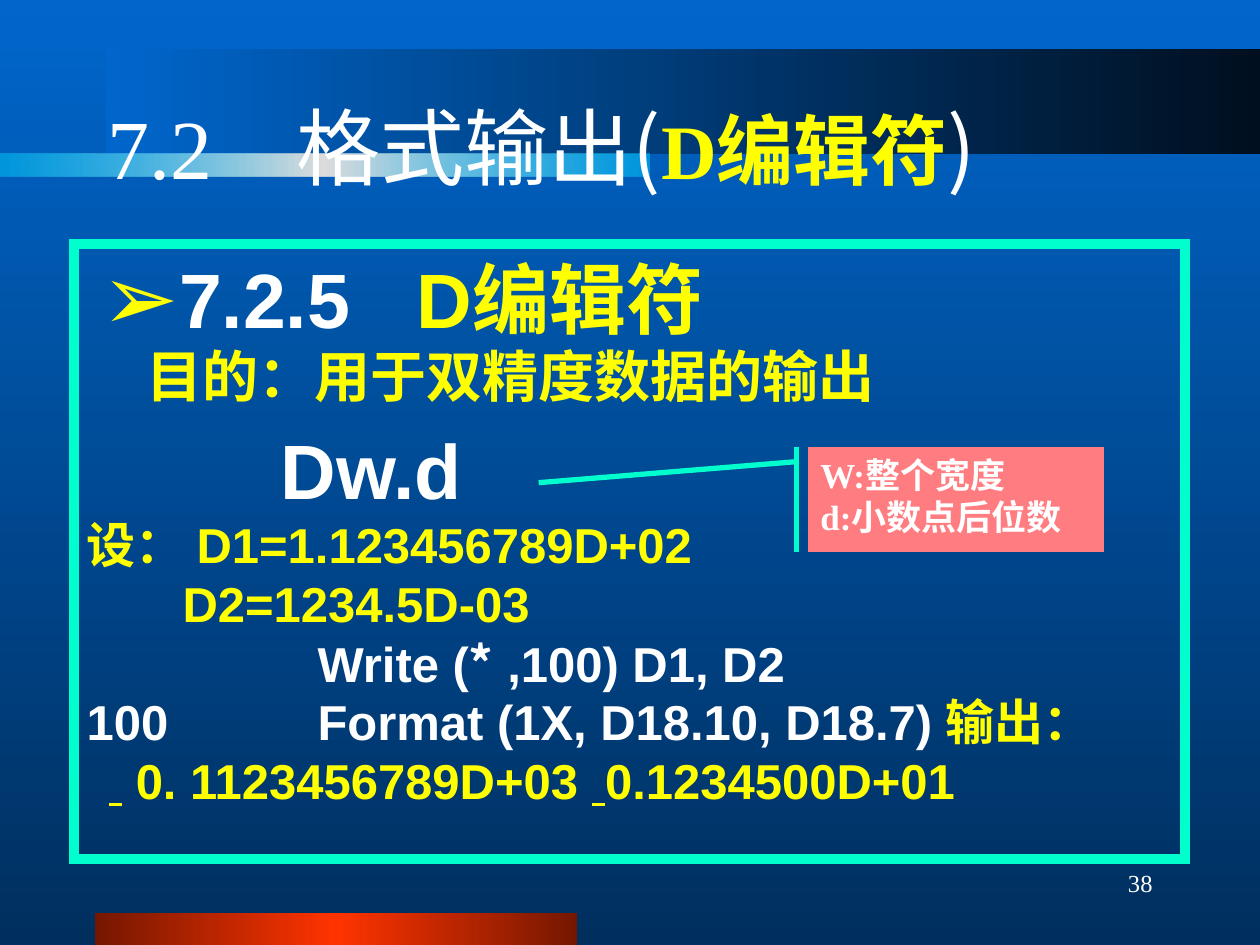
from dataclasses import dataclass

from lxml import etree
from pptx import Presentation
from pptx.dml.color import RGBColor
from pptx.enum.shapes import MSO_SHAPE
from pptx.enum.text import MSO_ANCHOR, MSO_AUTO_SIZE, PP_ALIGN
from pptx.oxml.ns import qn
from pptx.util import Emu, Pt

RECT = MSO_SHAPE.RECTANGLE
CALLOUT = MSO_SHAPE.LINE_CALLOUT_1_ACCENT_BAR
TOP, MIDDLE = MSO_ANCHOR.TOP, MSO_ANCHOR.MIDDLE
LEFT, RIGHT = PP_ALIGN.LEFT, PP_ALIGN.RIGHT
NO_FIT = MSO_AUTO_SIZE.NONE
PX_PER_INCH = 126


@dataclass(frozen=True)
class Theme:
    white: str = "FFFFFF"
    yellow: str = "FFFF00"
    aqua: str = "00FFCC"
    pink: str = "FF7C80"
    serif: str = "Times New Roman"
    sans: str = "Arial"
    cjk: str = "Noto Sans CJK SC"
    title: int = 48
    heading: int = 44
    purpose: int = 32
    code: int = 28
    note: int = 20
    number: int = 14
    backdrop: tuple = ((0, "0066CC", 100), (100, "002F5E", 100))
    red_band: tuple = ((0, "751700", 100), (50, "FF3300", 100), (100, "751700", 100))
    dark_band: tuple = ((0, "000F1F", 100), (100, "0066CC", 100))
    light_band: tuple = ((0, "00CCFF", 50), (50, "DDDDDD", 100), (100, "00CCFF", 50))


def px(n):
    return Emu(round(n * 914400 / PX_PER_INCH))


def rgb(color):
    return RGBColor.from_string(color)


def sub(parent, tag, **attrs):
    return etree.SubElement(parent, qn(tag), {k: str(v) for k, v in attrs.items()})


class SlideBuilder:
    def __init__(self, slide, theme):
        self.slide, self.theme = slide, theme

    def gradient(self, fill, owner, stops, angle):
        """Swap a solid fill for a linear gradient of (place, colour, opacity)."""
        fill.solid()
        solid = owner.find(qn("a:solidFill"))
        grad = etree.Element(qn("a:gradFill"), rotWithShape="1")
        gs_list = sub(grad, "a:gsLst")
        for place, color, opacity in stops:
            gs = sub(gs_list, "a:gs", pos=place * 1000)
            clr = sub(gs, "a:srgbClr", val=color)
            if opacity < 100:
                sub(clr, "a:alpha", val=opacity * 1000)
        sub(grad, "a:lin", ang=angle * 60000, scaled=0)
        owner.replace(solid, grad)

    def background(self, stops):
        fill = self.slide.background.fill
        fill.solid()
        bg = self.slide.element.find(".//" + qn("p:bgPr"))
        self.gradient(fill, bg, stops, 90)

    def shape(self, kind, x, y, w, h):
        sp = self.slide.shapes.add_shape(kind, px(x), px(y), px(w), px(h))
        sp.shadow.inherit = False
        return sp

    def band(self, x, y, w, h, stops):
        """Add a gradient band behind the title."""
        sp = self.shape(RECT, x, y, w, h)
        sp.line.fill.background()
        self.gradient(sp.fill, sp.element.spPr, stops, 180)
        self.slide.shapes.title.element.addprevious(sp.element)

    def placeholder(self, index, x, y, w, h, anchor):
        sp = self.slide.placeholders[index]
        sp.left, sp.top, sp.width, sp.height = px(x), px(y), px(w), px(h)
        return sp, self.frame(sp, anchor)

    def text_box(self, x, y, w, h, anchor):
        sp = self.slide.shapes.add_textbox(px(x), px(y), px(w), px(h))
        return self.frame(sp, anchor)

    def frame(self, sp, anchor):
        tf = sp.text_frame
        tf.word_wrap, tf.auto_size, tf.vertical_anchor = True, NO_FIT, anchor
        return tf

    def paragraph(self, tf, runs, size, font, bold=False, align=LEFT,
                  line=None, margin=0, indent=0, tabs=(), bullet=None):
        """Add one paragraph; each run is (text, colour, font overrides)."""
        p = tf.paragraphs[0]
        if p.runs:
            p = tf.add_paragraph()
        p.alignment = align
        p.space_before = Pt(0)
        if line:
            p.line_spacing = Pt(round(line * 72 / PX_PER_INCH, 1))
        pPr = p._p.get_or_add_pPr()
        pPr.set("marL", str(px(margin)))
        pPr.set("indent", str(px(indent)))
        if bullet:
            sub(sub(pPr, "a:buClr"), "a:srgbClr", val=self.theme.yellow)
            sub(pPr, "a:buSzPct", val=120000)
            sub(pPr, "a:buChar", char=bullet)
        else:
            sub(pPr, "a:buNone")
        if tabs:
            tab_list = sub(pPr, "a:tabLst")
            for pos in tabs:
                sub(tab_list, "a:tab", pos=px(pos), algn="l")
        p.font.size, p.font.name, p.font.bold = Pt(size), font, bold
        sub(pPr.find(qn("a:defRPr")), "a:ea", typeface=self.theme.cjk)
        for text, color, *overrides in runs:
            r = p.add_run()
            r.text = text
            r.font.color.rgb = rgb(color)
            for name, value in (overrides[0] if overrides else {}).items():
                setattr(r.font, name, value)

    def callout(self, x, y, w, h, adjustments, lines):
        t = self.theme
        sp = self.shape(CALLOUT, x, y, w, h)
        for i, value in enumerate(adjustments):
            sp.adjustments[i] = value
        sp.fill.solid()
        sp.fill.fore_color.rgb = rgb(t.pink)
        sp.line.color.rgb, sp.line.width = rgb(t.aqua), Pt(3)
        tf = self.frame(sp, TOP)
        for text in lines:
            self.paragraph(tf, [(text, t.white)], t.note, t.serif, bold=True, line=42)


def main():
    t = Theme()
    white, yellow = t.white, t.yellow
    prs = Presentation()
    prs.slide_width, prs.slide_height = px(1260), px(945)
    b = SlideBuilder(prs.slides.add_slide(prs.slide_layouts[1]), t)

    # Backdrop and bands
    b.background(t.backdrop)
    b.band(95, 913, 482, 32, t.red_band)
    b.band(106, 49, 1154, 105, t.dark_band)
    b.band(-1, 154, 651, 22, t.light_band)

    # Title
    _, tf = b.placeholder(0, 95, 67, 1071, 157, MIDDLE)
    b.paragraph(tf, [
        ("7.2　格式输出", white),
        ("(", white, {"name": t.cjk}),
        ("D编辑符", yellow, {"size": Pt(t.heading), "bold": True}),
        (")", white, {"name": t.cjk}),
    ], t.title, t.serif)

    # Framed body: size, line height, runs, layout of each line
    body, tf = b.placeholder(1, 74, 244, 1111, 615, TOP)
    body.line.color.rgb, body.line.width = rgb(t.aqua), Pt(6)
    sub(body.element.spPr.find(qn("a:ln")), "a:miter", lim=800000)
    blank = {"underline": True}
    for size, line, runs, layout in (
        (t.heading, 94, [("7.2.5\t", white), ("D编辑符", yellow)],
         {"margin": 85, "indent": -70, "tabs": [330], "bullet": "➢"}),
        (t.purpose, 65, [("目的：用于双精度数据的输出", yellow)], {"margin": 60}),
        (t.heading, 106, [("Dw.d", white)], {"margin": 194}),
        (t.code, 58, [("设：\tD1=1.123456789D+02", yellow)],
         {"margin": 110, "indent": -110}),
        (t.code, 59, [("D2=1234.5D-03", yellow)], {"margin": 96}),
        (t.code, 60, [("Write (", white), ("*", white, {"name": t.cjk}),
                      (" ,100) D1, D2", white)], {"margin": 231}),
        (t.code, 58, [("100\tFormat (1X, D18.10, D18.7) ", white),
                      ("输出：", yellow)], {"margin": 231, "indent": -231}),
        (t.code, 59, [(" ", yellow, blank), (" 0. 1123456789D+03 ", yellow),
                      (" ", yellow, blank), ("0.1234500D+01", yellow)],
         {"margin": 22}),
    ):
        b.paragraph(tf, runs, size, t.sans, bold=True, line=line, **layout)

    # Callout explaining w and d
    b.callout(808, 447, 296, 105, (0.14, -0.04, 0.34, -0.91),
              ("W:整个宽度", "d:小数点后位数"))

    # Slide number
    tf = b.text_box(903, 851, 262, 63, MIDDLE)
    b.paragraph(tf, [("38", white)], t.number, t.serif, align=RIGHT)

    prs.save("out.pptx")


if __name__ == "__main__":
    main()
